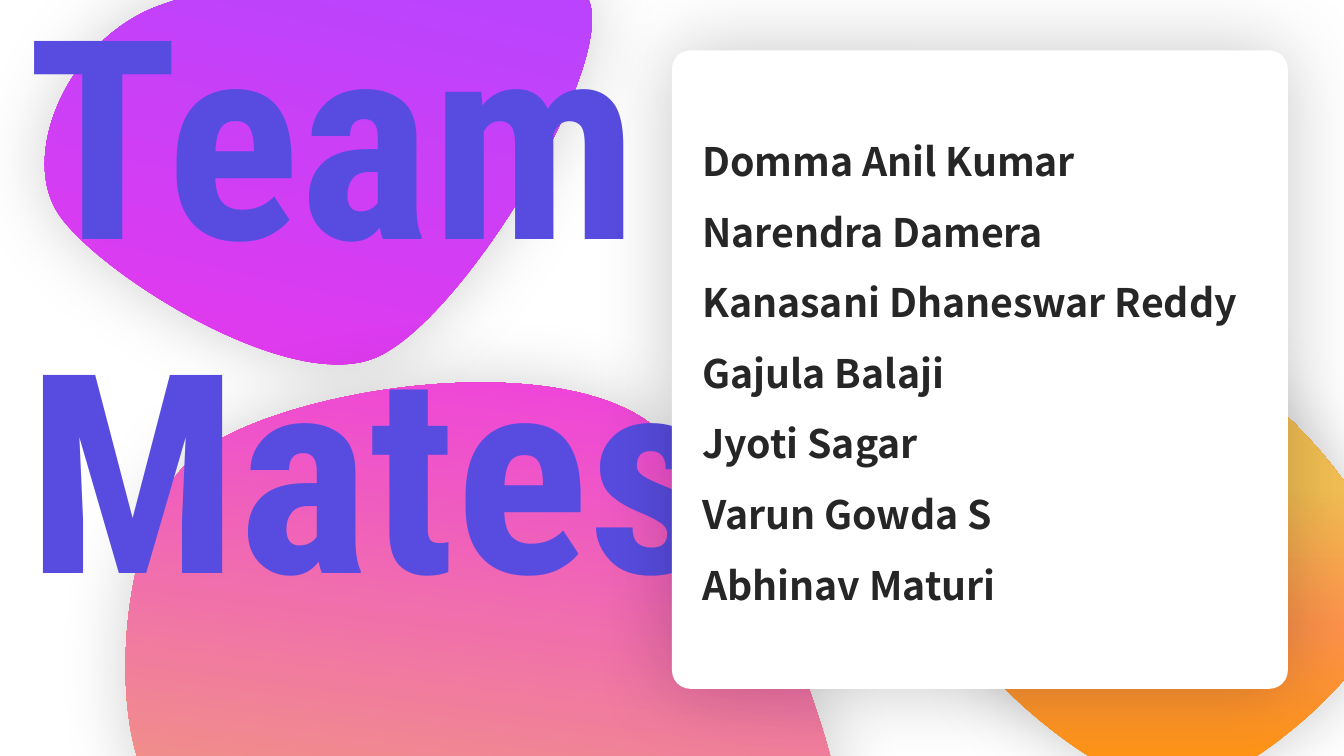
from dataclasses import dataclass
import copy
import math

import lxml.etree
import pptx
import pptx.dml.color
import pptx.enum.shapes
import pptx.enum.text
import pptx.oxml.ns
import pptx.util

COLUMNS, ROWS = 40, 22.5
WIDTH, HEIGHT = pptx.util.Inches(13.33), pptx.util.Inches(7.5)
COLORS = {
    "white": "FFFFFF", "shadow": "000000", "ink": "262626", "title": "584CE0",
    "pink": "EE37E9", "purple": "BB43FD", "gold": "F3C053",
    "orange": "FF9409", "apricot": "FE934B",
}
NAMES = [
    "Domma Anil Kumar", "Narendra Damera", "Kanasani Dhaneswar Reddy",
    "Gajula Balaji", "Jyoti Sagar", "Varun Gowda S", "Abhinav Maturi",
]
Point = tuple[float, float]
qn = pptx.oxml.ns.qn


@dataclass
class Box:
    col: float
    row: float
    cols: float
    rows: float

    def emu(self) -> tuple[int, int, int, int]:
        return (*grid((self.col, self.row)), *grid((self.cols, self.rows)))


@dataclass
class Blob:
    box: Box
    rotation: float
    start: Point
    curves: list[tuple[Point, Point, Point]]
    stops: list[tuple[float, str]]
    angle: float


@dataclass
class Label:
    box: Box
    lines: list[str]
    font: str
    size: float
    color: str
    spacing: float


BLOBS = [
    Blob(Box(1.77, -2.22, 16.77, 12.42), 327.8, (4.56, 0.24), [
        ((7.17, -0.84), (16.35, -1.86), (17.46, -0.12)),
        ((18.54, 1.62), (13.8, 9.57), (11.16, 10.65)),
        ((8.55, 11.73), (2.85, 8.07), (1.74, 6.36)),
        ((0.6, 4.65), (1.95, 1.32), (4.56, 0.24)),
    ], [(0, "pink"), (0.71, "purple")], 45),
    Blob(Box(3.36, 11.49, 21.69, 18.63), 232.3, (14.76, 24.78), [
        ((11.34, 24.39), (6.12, 25.53), (4.62, 23.64)),
        ((3.15, 21.78), (3.48, 15.36), (5.88, 13.5)),
        ((8.31, 11.64), (15.93, 10.38), (19.14, 12.45)),
        ((22.32, 14.52), (25.8, 23.85), (25.05, 25.92)),
        ((24.33, 27.99), (18.15, 25.14), (14.76, 24.78)),
    ], [(0.13, "gold"), (0.88, "pink")], 315),
    Blob(Box(29.19, 10.71, 12.24, 12.78), 0, (29.91, 17.46), [
        ((30.84, 15.84), (33.54, 10.71), (35.46, 10.71)),
        ((37.38, 10.71), (41.4, 15.3), (41.43, 17.43)),
        ((41.46, 19.53), (37.53, 22.89), (35.61, 23.4)),
        ((33.69, 23.91), (30.84, 21.45), (29.88, 20.46)),
        ((28.92, 19.5), (28.98, 19.11), (29.91, 17.46)),
    ], [(0, "orange"), (0.38, "apricot"), (0.71, "gold")], 90),
]
TITLE = Label(Box(0.51, -1.32, 28.5, 20.4), ["Team Mates"],
              "Roboto Condensed", 199, "title", 1)
CARD = Box(20, 1.5, 18.33, 19)
MEMBERS = Label(Box(20.61, 3.24, 17.52, 14.91), NAMES,
                "Noto Sans CJK SC", 28, "ink", 1.5)


def grid(point: Point) -> tuple[int, int]:
    """Turn columns and rows into EMU."""
    return round(point[0] * WIDTH / COLUMNS), round(point[1] * HEIGHT / ROWS)


def rgb(name: str) -> pptx.dml.color.RGBColor:
    return pptx.dml.color.RGBColor.from_string(COLORS[name])


def local(blob: Blob, point: Point) -> tuple[int, int]:
    """Undo the blob's rotation and measure from its box corner."""
    left, top, width, height = blob.box.emu()
    x, y = grid(point)
    dx, dy = x - left - width / 2, y - top - height / 2
    turn = math.radians(-blob.rotation)
    return (round(width / 2 + dx * math.cos(turn) - dy * math.sin(turn)),
            round(height / 2 + dx * math.sin(turn) + dy * math.cos(turn)))


def finish(sp, opacity: int, blur: float) -> None:
    """Remove the line and add a soft centred shadow."""
    sp.line.fill.background()
    sp.shadow.inherit = False
    effects = sp._element.spPr.find(qn("a:effectLst"))
    shadow = lxml.etree.SubElement(
        effects, qn("a:outerShdw"), blurRad=str(pptx.util.Pt(blur)),
        dist="0", dir="0", algn="ctr", rotWithShape="0")
    color = lxml.etree.SubElement(shadow, qn("a:srgbClr"), val=COLORS["shadow"])
    lxml.etree.SubElement(color, qn("a:alpha"), val=str(opacity * 1000))


def bend(sp, blob: Blob) -> None:
    """Swap the straight outline for the blob's Bezier curves."""
    outline = sp._element.spPr.find(".//" + qn("a:pathLst"))[0]
    for command in list(outline):
        outline.remove(command)
    commands = [("a:moveTo", (blob.start,))]
    commands += [("a:cubicBezTo", curve) for curve in blob.curves]
    commands.append(("a:close", ()))
    for tag, points in commands:
        command = lxml.etree.SubElement(outline, qn(tag))
        for point in points:
            x, y = local(blob, point)
            lxml.etree.SubElement(command, qn("a:pt"), x=str(x), y=str(y))


def add_blob(s, blob: Blob) -> None:
    left, top, width, height = blob.box.emu()
    right, bottom = left + width, top + height
    builder = s.shapes.build_freeform(left, top)
    builder.add_line_segments([(right, top), (right, bottom), (left, bottom)])
    sp = builder.convert_to_shape()
    bend(sp, blob)
    sp.rotation = blob.rotation
    sp.fill.gradient()
    sp.fill.gradient_angle = blob.angle
    stop_list = sp._element.spPr.find(".//" + qn("a:gsLst"))
    while len(stop_list) < len(blob.stops):
        stop_list.append(copy.deepcopy(stop_list[0]))
    for stop, (position, color) in zip(sp.fill.gradient_stops, blob.stops):
        stop.position = position
        stop.color.rgb = rgb(color)
    finish(sp, 18, 51)


def add_card(s, box: Box) -> None:
    sp = s.shapes.add_shape(
        pptx.enum.shapes.MSO_SHAPE.ROUNDED_RECTANGLE, *box.emu())
    sp.adjustments[0] = 0.03
    sp.fill.solid()
    sp.fill.fore_color.rgb = rgb("white")
    finish(sp, 22, 58)


def add_label(s, label: Label) -> None:
    tf = s.shapes.add_textbox(*label.box.emu()).text_frame
    tf.word_wrap = True
    tf.auto_size = pptx.enum.text.MSO_AUTO_SIZE.SHAPE_TO_FIT_TEXT
    for i, line in enumerate(label.lines):
        p = tf.add_paragraph() if i else tf.paragraphs[0]
        p.line_spacing = float(label.spacing)
        r = p.add_run()
        r.text = line
        r.font.name = label.font
        r.font.size = pptx.util.Pt(label.size)
        r.font.bold = True
        r.font.color.rgb = rgb(label.color)


def main() -> None:
    prs = pptx.Presentation()
    prs.slide_width, prs.slide_height = WIDTH, HEIGHT
    s = prs.slides.add_slide(prs.slide_layouts[6])
    for blob in BLOBS:
        add_blob(s, blob)
    add_label(s, TITLE)
    add_card(s, CARD)
    add_label(s, MEMBERS)
    prs.save("out.pptx")


if __name__ == "__main__":
    main()
